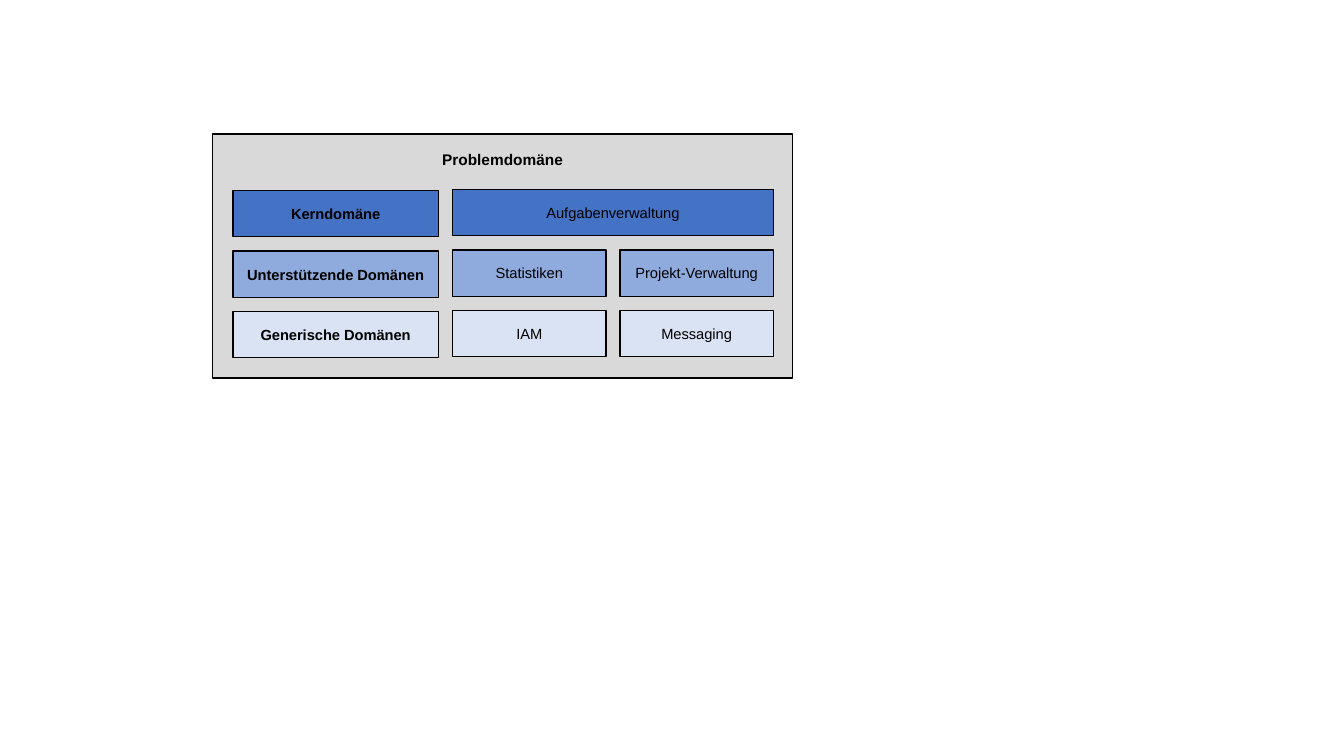
"""Build a slide that splits a problem domain into core, supporting and generic domains."""
from pptx import Presentation, util as u
from pptx.dml.color import RGBColor
from pptx.enum import shapes, text

deck = Presentation()
deck.slide_width, deck.slide_height = u.Inches(13.33), u.Inches(7.5)
slide = deck.slides.add_slide(deck.slide_layouts[6])
group = slide.shapes.add_group_shape()


def color(code):
    return RGBColor.from_string(code)


def box(left, top, width, height, fill, label, size=10.5, bold=False, inset=0):
    area = [u.Inches(n) for n in (left, top, width, height)]
    rect = group.shapes.add_shape(shapes.MSO_SHAPE.RECTANGLE, *area)
    rect.shadow.inherit = False
    rect.fill.solid()
    rect.fill.fore_color.rgb = color(fill)
    rect.line.color.rgb = color("000000")
    rect.line.width = u.Pt(1)
    frame = rect.text_frame
    frame.word_wrap = True
    frame.margin_left = frame.margin_right = frame.margin_bottom = 0
    frame.margin_top = u.Inches(inset)
    anchor = text.MSO_ANCHOR
    frame.vertical_anchor = anchor.TOP if inset else anchor.MIDDLE
    para = frame.paragraphs[0]
    para.alignment = text.PP_ALIGN.CENTER
    run = para.add_run()
    run.text = label
    run.font.name, run.font.size, run.font.bold = "Arial", u.Pt(size), bold
    run.font.color.rgb = color("000000")


gap, high = 0.14, 0.46
head, first = 2.31, 4.49
wide = first - gap - head
span = 3.18
rows = [
    ("4472C4", "Kerndomäne", ["Aufgabenverwaltung"]),
    ("8FAADC", "Unterstützende Domänen", ["Statistiken", "Projekt-Verwaltung"]),
    ("DAE3F3", "Generische Domänen", ["IAM", "Messaging"]),
]

box(2.11, 1.33, 5.75, 2.42, "D9D9D9", "Problemdomäne", 11, True, 0.16)
for row, (fill, title, parts) in enumerate(rows):
    top = 1.88 + row * (high + gap)
    box(head, top + 0.01, wide, high, fill, title, bold=True)
    cell = (span - gap * (len(parts) - 1)) / len(parts)
    for col, part in enumerate(parts):
        box(first + col * (cell + gap), top, cell, high, fill, part)

deck.save("out.pptx")
